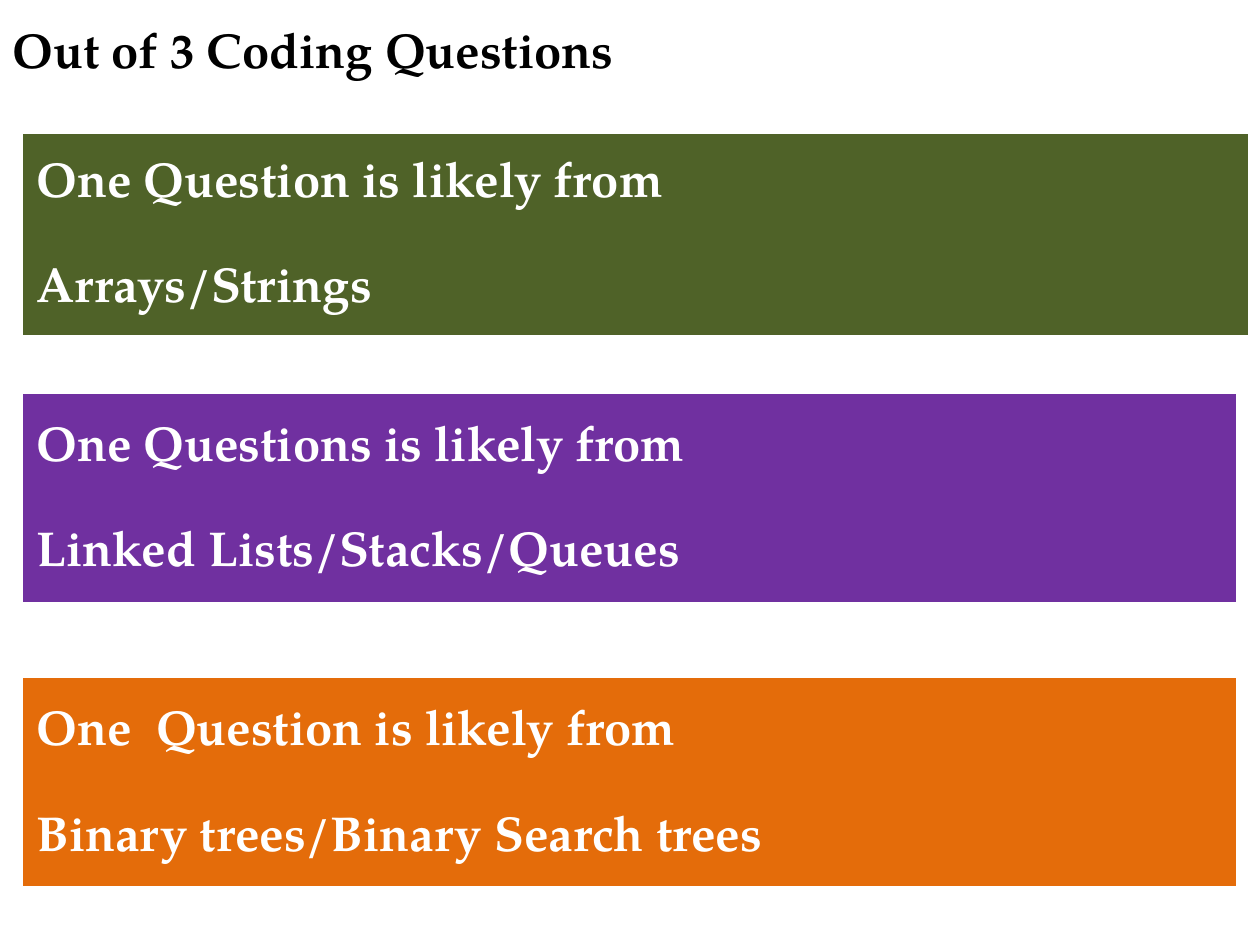
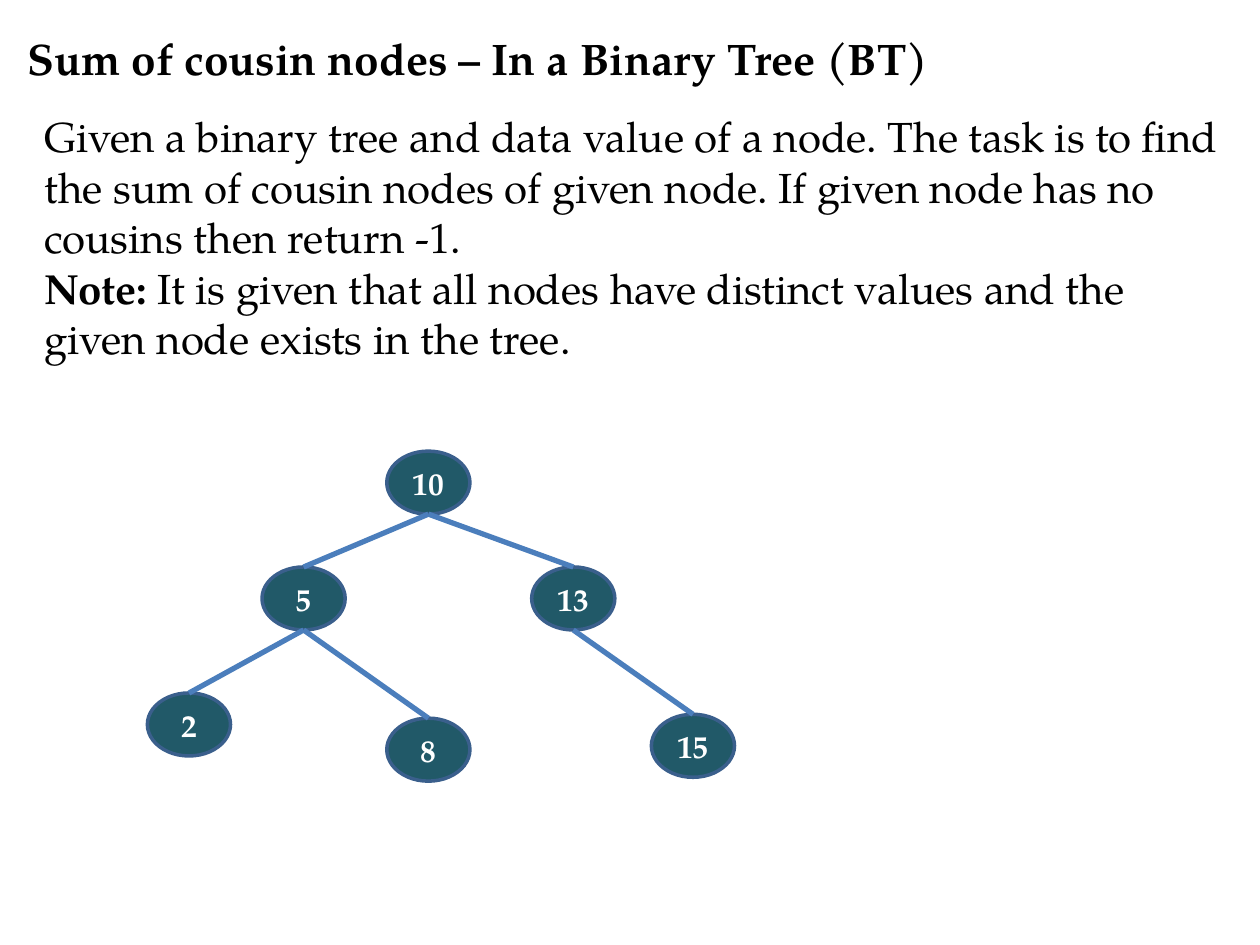
from dataclasses import dataclass

from lxml import etree
from pptx import Presentation
from pptx.dml.color import RGBColor
from pptx.enum.shapes import MSO_CONNECTOR, MSO_SHAPE
from pptx.enum.text import MSO_ANCHOR, MSO_AUTO_SIZE, PP_ALIGN
from pptx.oxml.ns import qn
from pptx.util import Pt

RECTANGLE, OVAL = MSO_SHAPE.RECTANGLE, MSO_SHAPE.OVAL
STRAIGHT = MSO_CONNECTOR.STRAIGHT
LEFT, CENTER = PP_ALIGN.LEFT, PP_ALIGN.CENTER
TOP, MIDDLE = MSO_ANCHOR.TOP, MSO_ANCHOR.MIDDLE
NO_AUTOFIT = MSO_AUTO_SIZE.NONE
TITLE_AND_CONTENT, TITLE_ONLY = 1, 5


@dataclass(frozen=True)
class Theme:
    font: str = "TeX Gyre Pagella"
    black: str = "000000"
    white: str = "FFFFFF"
    green: str = "4F6228"
    purple: str = "7030A0"
    orange: str = "E46C0A"
    node_fill: str = "215968"
    node_line: str = "3A5F8C"
    edge: str = "4B7EBC"
    heading_size: float = 28
    long_heading_size: float = 25.2
    body_size: float = 24
    node_size: float = 18


THEME = Theme()

# Bands: left, top, width, height in points
BANDS = [
    (THEME.green, (12.25, 75.6, 702, 116.6),
     "One Question is likely from", "Arrays/Strings"),
    (THEME.purple, (12.25, 224, 694.8, 121),
     "One Questions is likely from", "Linked Lists/Stacks/Queues"),
    (THEME.orange, (12.25, 386.6, 694.8, 121),
     "One  Question is likely from", "Binary trees/Binary Search trees"),
]

# Tree nodes: value -> centre x and top in points
NODE_WIDTH, NODE_HEIGHT = 47.5, 36
NODES = {10: (244.8, 257.8), 5: (173.5, 324), 2: (108, 396),
         13: (327.6, 324), 8: (244.8, 410.4), 15: (396, 408.2)}
EDGES = [(10, 13), (13, 15), (5, 8), (5, 2), (10, 5)]


def color(value):
    return RGBColor.from_string(value)


def place(shape, left, top, width, height):
    shape.left, shape.top = Pt(left), Pt(top)
    shape.width, shape.height = Pt(width), Pt(height)


def write_text(shape, paragraphs, size, text_color=THEME.black, bold=False,
               align=LEFT, anchor=MIDDLE, inset=None, line_spacing=1.0, gap=0):
    """Fill a shape; each paragraph is a list of (text, bold) runs or a string."""
    frame = shape.text_frame
    frame.word_wrap = True
    frame.auto_size = NO_AUTOFIT
    frame.vertical_anchor = anchor
    if inset is not None:
        frame.margin_left = frame.margin_right = Pt(inset)
        frame.margin_top = frame.margin_bottom = Pt(inset)
    for index, content in enumerate(paragraphs):
        paragraph = frame.add_paragraph() if index else frame.paragraphs[0]
        paragraph.alignment = align
        paragraph.line_spacing = line_spacing
        paragraph.space_before = Pt(gap if index else 0)
        runs = [(content, bold)] if isinstance(content, str) else content
        for text, run_bold in runs:
            run = paragraph.add_run()
            run.text = text
            run.font.name = THEME.font
            run.font.size = Pt(size)
            run.font.bold = run_bold
            run.font.color.rgb = color(text_color)


def remove_bullets(shape):
    for paragraph in shape.text_frame.paragraphs:
        properties = paragraph._p.get_or_add_pPr()
        properties.set("marL", "0")
        properties.set("indent", "0")
        etree.SubElement(properties, qn("a:buNone"))


def add_slide(presentation, layout, title, box, size):
    slide = presentation.slides.add_slide(presentation.slide_layouts[layout])
    place(slide.shapes.title, *box)
    write_text(slide.shapes.title, [title], size, bold=True)
    return slide


def add_filled_shape(slide, kind, box, fill, line):
    shape = slide.shapes.add_shape(kind, *(Pt(length) for length in box))
    shape.shadow.inherit = False
    shape.fill.solid()
    shape.fill.fore_color.rgb = color(fill)
    shape.line.color.rgb = color(line)
    shape.line.width = Pt(2)
    return shape


def add_band(slide, fill, box, lead, topics):
    band = add_filled_shape(slide, RECTANGLE, box, fill, THEME.white)
    write_text(band, [lead, topics], THEME.heading_size, THEME.white, bold=True,
               inset=8.64, line_spacing=0.9, gap=30)


def add_node(slide, value):
    center, top = NODES[value]
    box = (center - NODE_WIDTH / 2, top, NODE_WIDTH, NODE_HEIGHT)
    node = add_filled_shape(slide, OVAL, box, THEME.node_fill, THEME.node_line)
    write_text(node, [str(value)], THEME.node_size, THEME.white, bold=True,
               align=CENTER, inset=0)


def add_edge(slide, parent, child):
    """Join the bottom of the parent to the top of the child."""
    (start_x, parent_top), (end_x, end_y) = NODES[parent], NODES[child]
    edge = slide.shapes.add_connector(
        STRAIGHT, Pt(start_x), Pt(parent_top + NODE_HEIGHT), Pt(end_x), Pt(end_y))
    edge.line.color.rgb = color(THEME.edge)
    edge.line.width = Pt(3)
    etree.SubElement(edge._element.spPr, qn("a:effectLst"))


def build_question_slide(presentation):
    slide = add_slide(presentation, TITLE_ONLY, "Out of 3 Coding Questions",
                      (0, 5.8, 684, 44.6), THEME.heading_size)
    for band in BANDS:
        add_band(slide, *band)


def build_cousin_slide(presentation):
    slide = add_slide(presentation, TITLE_AND_CONTENT,
                      "Sum of cousin nodes – In a Binary Tree (BT)",
                      (8.6, 13.7, 702, 38.2), THEME.long_heading_size)
    # Problem statement
    body = slide.placeholders[1]
    place(body, 18, 59.8, 692.6, 466.6)
    write_text(body, [
        "Given a binary tree and data value of a node. The task is to find the sum "
        "of cousin nodes of given node. If given node has no cousins then return -1.",
        [("Note:", True),
         (" It is given that all nodes have distinct values and the given node "
          "exists in the tree.", False)],
    ], THEME.body_size, anchor=TOP)
    remove_bullets(body)
    # Tree diagram
    for value in NODES:
        add_node(slide, value)
    for parent, child in EDGES:
        add_edge(slide, parent, child)


def main():
    presentation = Presentation()
    presentation.slide_width, presentation.slide_height = Pt(720), Pt(540)
    build_question_slide(presentation)
    build_cousin_slide(presentation)
    presentation.save("out.pptx")


if __name__ == "__main__":
    main()
